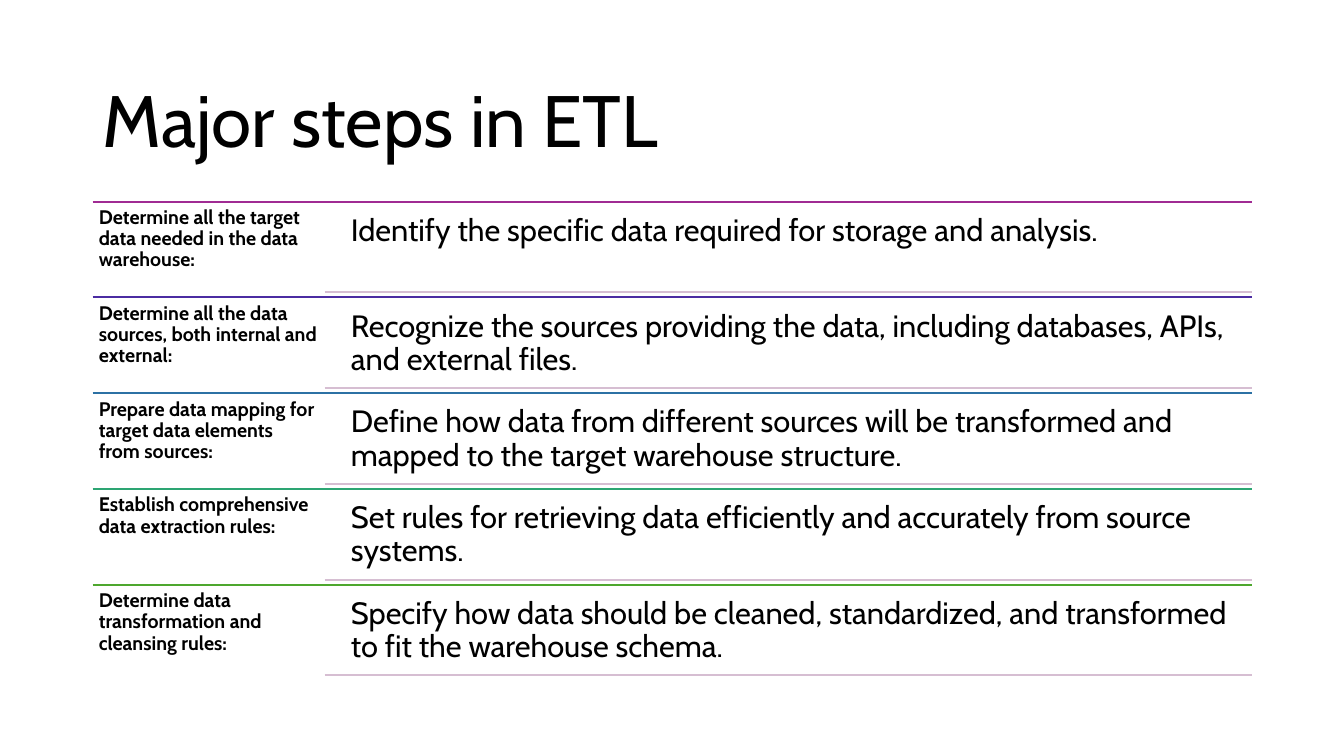
from pptx import Presentation
from pptx.dml.color import RGBColor
from pptx.enum.shapes import MSO_CONNECTOR
from pptx.enum.text import MSO_ANCHOR
from pptx.oxml.ns import qn
from pptx.util import Inches, Pt
from lxml import etree

LEFT, RIGHT = 0.92, 12.42
LABEL_W = 2.3
DETAIL_X = 3.39
TOP, ROW_H = 2.0, 0.95
DETAIL_GAP, DETAIL_H = 0.04, 0.86
INK, DIVIDER = "000000", "D6BED2"

STEPS = [
    ("A02B93", "Determine all the target data needed in the data warehouse:",
     "Identify the specific data required for storage and analysis."),
    ("4B2CA2", "Determine all the data sources, both internal and external:",
     "Recognize the sources providing the data, including databases, APIs, and external files."),
    ("2C71A4", "Prepare data mapping for target data elements from sources:",
     "Define how data from different sources will be transformed and mapped to the target "
     "warehouse structure."),
    ("2DA573", "Establish comprehensive data extraction rules:",
     "Set rules for retrieving data efficiently and accurately from source systems."),
    ("4EA72E", "Determine data transformation and cleansing rules:",
     "Specify how data should be cleaned, standardized, and transformed to fit the "
     "warehouse schema."),
]


def color(value):
    return RGBColor.from_string(value)


def add_text(s, text, x, y, w, h, size, inset, bold=False, anchor=MSO_ANCHOR.TOP):
    tf = s.shapes.add_textbox(*map(Inches, (x, y, w, h))).text_frame
    tf.word_wrap = True
    tf.vertical_anchor = anchor
    for side, value in zip(("left", "top", "right", "bottom"), inset):
        setattr(tf, f"margin_{side}", Inches(value))
    p = tf.paragraphs[0]
    p.line_spacing = 0.9
    r = p.add_run()
    r.text = text
    for name, value in {"name": "Cabin", "size": Pt(size), "bold": bold}.items():
        setattr(r.font, name, value)
    r.font.color.rgb = color(INK)


def add_rule(s, x, y, hex_color):
    """Draw a horizontal line from x to the right margin."""
    line = s.shapes.add_connector(
        MSO_CONNECTOR.STRAIGHT, *map(Inches, (x, y, RIGHT, y)))
    line.line.color.rgb = color(hex_color)
    line.line.width = Pt(1.5)
    etree.SubElement(line._element.spPr, qn("a:effectLst"))


def add_step(s, y, accent, label, detail):
    detail_y = y + DETAIL_GAP
    add_rule(s, LEFT, y, accent)
    add_text(s, label, LEFT, y, LABEL_W, ROW_H, 14, [0.06] * 4, bold=True)
    add_text(s, detail, DETAIL_X, detail_y, RIGHT - DETAIL_X, DETAIL_H, 22, [0.09] * 4)
    add_rule(s, LEFT + LABEL_W, detail_y + DETAIL_H, DIVIDER)


def main():
    prs = Presentation()
    prs.slide_width, prs.slide_height = Inches(13.33), Inches(7.5)
    s = prs.slides.add_slide(prs.slide_layouts[6])
    add_text(s, "Major steps in ETL", LEFT, 0.61, RIGHT - LEFT, 1.24, 52,
             (0.1, 0.05, 0.1, 0.05), anchor=MSO_ANCHOR.MIDDLE)
    for row, step in enumerate(STEPS):
        add_step(s, TOP + row * ROW_H, *step)
    prs.save("out.pptx")


if __name__ == "__main__":
    main()
